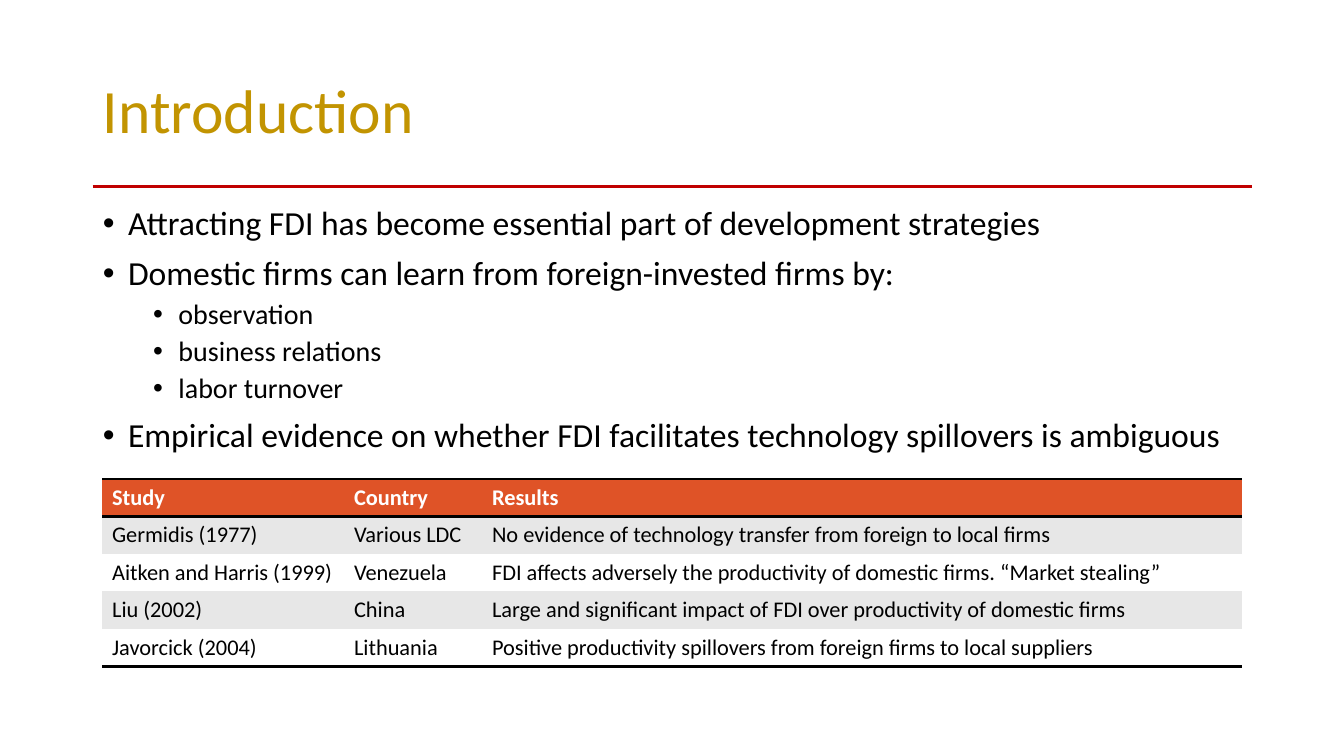
"""Build the introduction slide on FDI spillovers with a table of earlier studies."""
from dataclasses import dataclass

from lxml.etree import SubElement
from pptx import Presentation
from pptx.dml.color import RGBColor
from pptx.enum.shapes import MSO_CONNECTOR
from pptx.enum.text import MSO_ANCHOR, MSO_AUTO_SIZE, PP_ALIGN
from pptx.oxml.ns import qn
from pptx.util import Pt

FONT = "Calibri"
BLACK = "000000"
WHITE = "FFFFFF"
GOLD = "C29401"
RED = "C00000"
ORANGE = "DF5327"
GREY = "E7E7E7"

MARGIN = 66.24
CONTENT_WIDTH = 828
TITLE_TOP = 28.8
TITLE_HEIGHT = 104.4
RULE_TOP = 133.2
BODY_TOP = 144
BODY_HEIGHT = 342.7
TABLE_LEFT = 72.9
TABLE_TOP = 342
ROW_HEIGHT = 26.8
COLUMN_WIDTHS = (172.8, 98.6, 542.6)


@dataclass(frozen=True)
class BulletStyle:
    size: int
    left: int
    space_before: int


@dataclass(frozen=True)
class Bullet:
    text: str
    level: int = 0


@dataclass(frozen=True)
class Study:
    author: str
    country: str
    results: str


BULLET_STYLES = (BulletStyle(24, 18, 10), BulletStyle(20, 54, 5))

BULLETS = (
    Bullet("Attracting FDI has become essential part of development strategies"),
    Bullet("Domestic firms can learn from foreign-invested firms by:"),
    Bullet("observation", 1),
    Bullet("business relations", 1),
    Bullet("labor turnover", 1),
    Bullet("Empirical evidence on whether FDI facilitates technology spillovers is ambiguous"),
)

TABLE_ROWS = (
    Study("Study", "Country", "Results"),
    Study("Germidis (1977)", "Various LDC",
          "No evidence of technology transfer from foreign to local firms"),
    Study("Aitken and Harris (1999)", "Venezuela",
          "FDI affects adversely the productivity of domestic firms. “Market stealing”"),
    Study("Liu (2002)", "China",
          "Large and significant impact of FDI over productivity of domestic firms"),
    Study("Javorcick (2004)", "Lithuania",
          "Positive productivity spillovers from foreign firms to local suppliers"),
)


def color(value: str) -> RGBColor:
    return RGBColor.from_string(value)


def style_font(paragraph, size: float, value: str, bold: bool = False) -> None:
    font = paragraph.font
    font.name = FONT
    font.size = Pt(size)
    font.bold = bold
    font.color.rgb = color(value)


def place(shape, top: float, height: float) -> None:
    shape.left, shape.top = Pt(MARGIN), Pt(top)
    shape.width, shape.height = Pt(CONTENT_WIDTH), Pt(height)
    shape.text_frame.word_wrap = True
    shape.text_frame.auto_size = MSO_AUTO_SIZE.NONE


def add_title(slide) -> None:
    title = slide.shapes.title
    place(title, TITLE_TOP, TITLE_HEIGHT)
    title.text_frame.vertical_anchor = MSO_ANCHOR.MIDDLE
    paragraph = title.text_frame.paragraphs[0]
    paragraph.text = "Introduction"
    paragraph.alignment = PP_ALIGN.LEFT
    paragraph.line_spacing = 0.9
    style_font(paragraph, 44, GOLD)


def add_rule(slide) -> None:
    rule = slide.shapes.add_connector(
        MSO_CONNECTOR.STRAIGHT,
        Pt(MARGIN), Pt(RULE_TOP), Pt(MARGIN + CONTENT_WIDTH), Pt(RULE_TOP),
    )
    rule.line.color.rgb = color(RED)
    rule.line.width = Pt(2)
    SubElement(rule._element.spPr, qn("a:effectLst"))


def add_bullets(slide) -> None:
    body = slide.placeholders[1]
    place(body, BODY_TOP, BODY_HEIGHT)
    frame = body.text_frame
    frame.vertical_anchor = MSO_ANCHOR.TOP
    for index, bullet in enumerate(BULLETS):
        style = BULLET_STYLES[bullet.level]
        paragraph = frame.add_paragraph() if index else frame.paragraphs[0]
        paragraph.text = bullet.text
        paragraph.level = bullet.level
        properties = paragraph._p.get_or_add_pPr()
        properties.set("marL", str(Pt(style.left)))
        properties.set("indent", str(Pt(-18)))
        SubElement(properties, qn("a:buFont"), typeface="Arial")
        SubElement(properties, qn("a:buChar"), char="•")
        paragraph.line_spacing = 0.9
        paragraph.space_before = Pt(style.space_before if index else 0)
        style_font(paragraph, style.size, BLACK)


def set_borders(cell, ruled_sides: str) -> None:
    properties = cell._tc.get_or_add_tcPr()
    for side in "LRTB":
        if side in ruled_sides:
            line = SubElement(properties, qn(f"a:ln{side}"), w=str(Pt(2)))
            fill = SubElement(line, qn("a:solidFill"))
            SubElement(fill, qn("a:srgbClr"), val=BLACK)
        else:
            line = SubElement(properties, qn(f"a:ln{side}"), w="0")
            SubElement(line, qn("a:noFill"))


def add_study_table(slide) -> None:
    row_count = len(TABLE_ROWS)
    table = slide.shapes.add_table(
        row_count, len(COLUMN_WIDTHS), Pt(TABLE_LEFT), Pt(TABLE_TOP),
        Pt(sum(COLUMN_WIDTHS)), Pt(ROW_HEIGHT * row_count),
    ).table
    table.horz_banding = False
    for column, width in zip(table.columns, COLUMN_WIDTHS):
        column.width = Pt(width)
    ruled_sides = {0: "TB", 1: "T", row_count - 1: "B"}
    for index, study in enumerate(TABLE_ROWS):
        header = index == 0
        background = ORANGE if header else (GREY if index % 2 else WHITE)
        table.rows[index].height = Pt(ROW_HEIGHT)
        texts = (study.author, study.country, study.results)
        for cell, text in zip(table.rows[index].cells, texts):
            set_borders(cell, ruled_sides.get(index, ""))
            cell.fill.solid()
            cell.fill.fore_color.rgb = color(background)
            paragraph = cell.text_frame.paragraphs[0]
            paragraph.text = text
            style_font(paragraph, 16, WHITE if header else BLACK, header)


def main() -> None:
    presentation = Presentation()
    presentation.slide_width, presentation.slide_height = Pt(960), Pt(540)
    slide = presentation.slides.add_slide(presentation.slide_layouts[1])
    add_rule(slide)
    add_title(slide)
    add_bullets(slide)
    add_study_table(slide)
    presentation.save("out.pptx")


if __name__ == "__main__":
    main()
